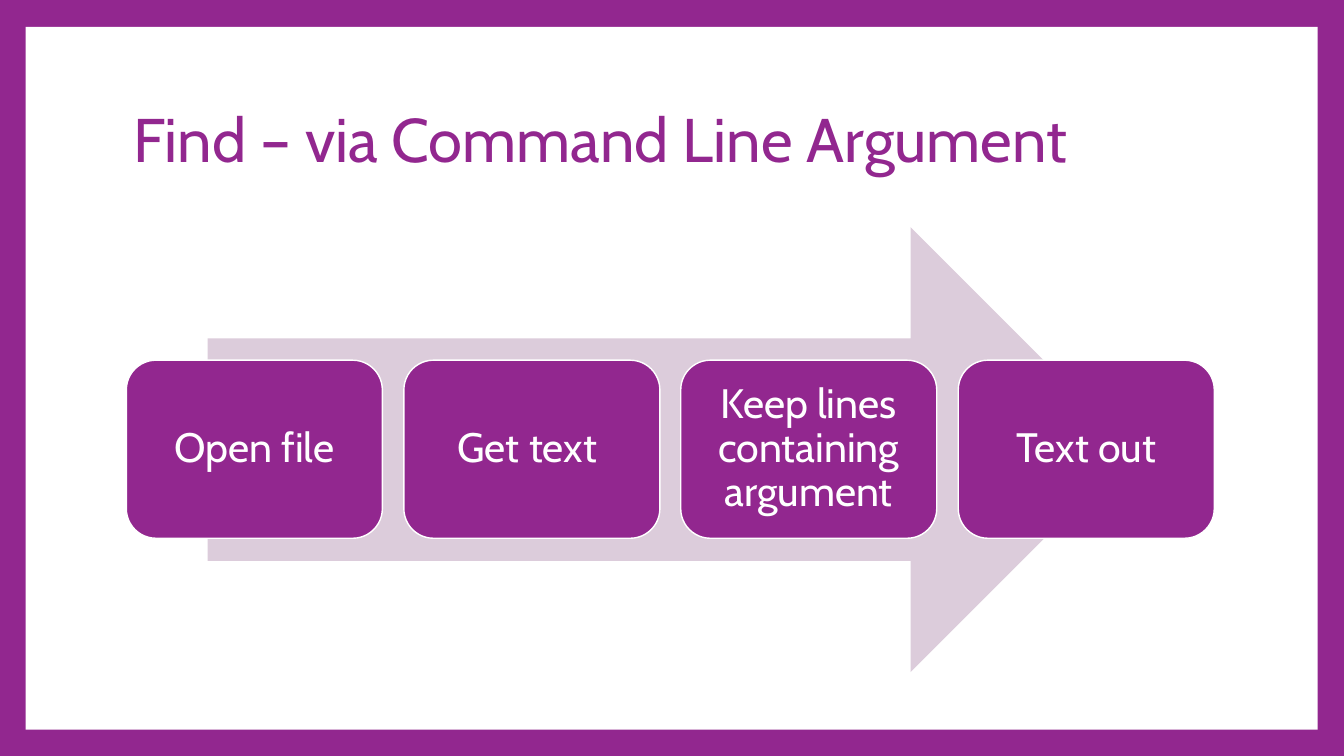
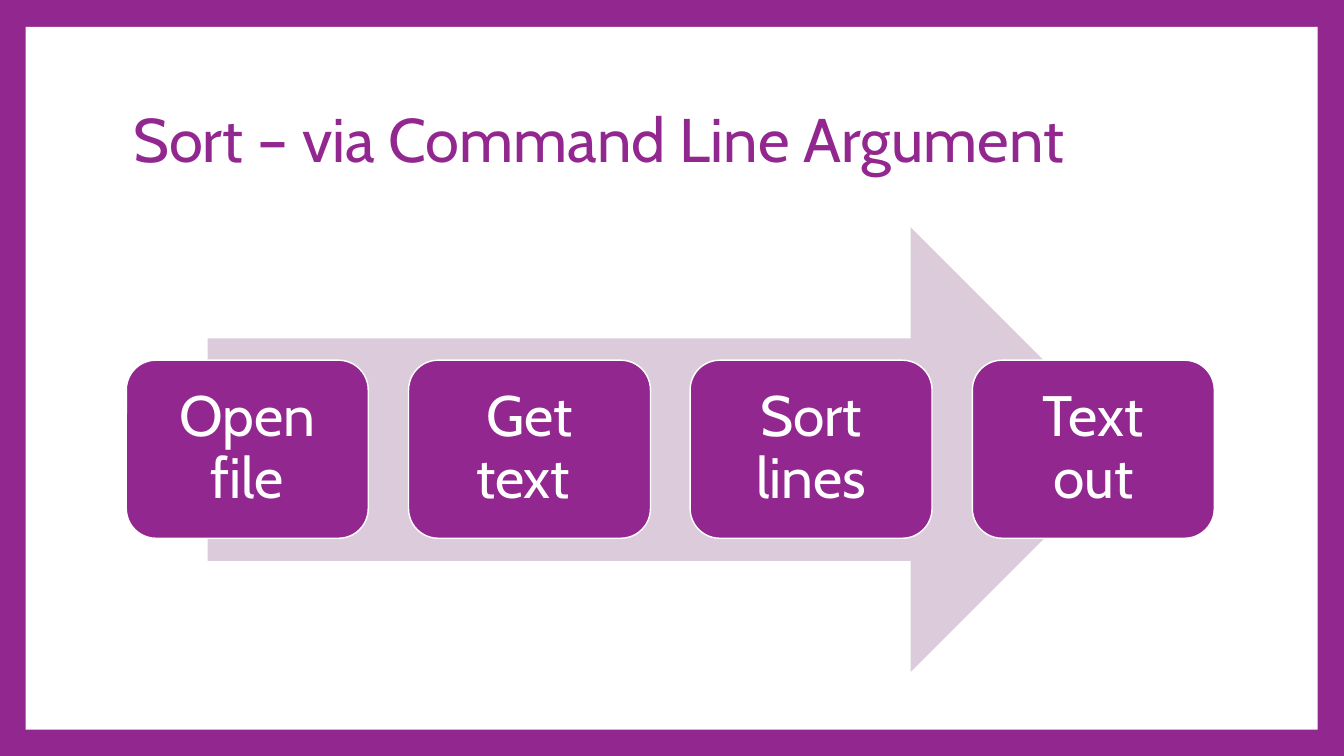
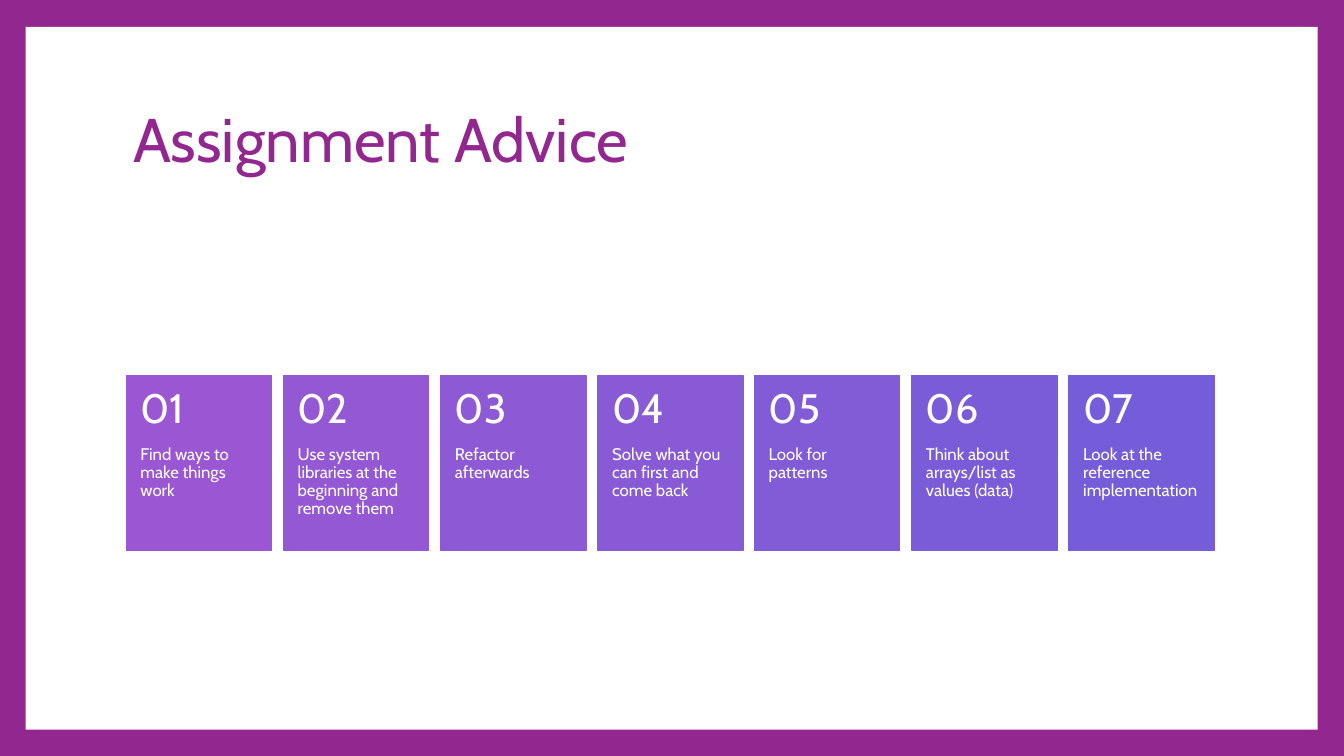
from pptx import Presentation
from pptx.dml.color import RGBColor
from pptx.enum.shapes import MSO_SHAPE as Shape
from pptx.enum.text import MSO_ANCHOR as Anchor, MSO_AUTO_SIZE as AutoSize, PP_ALIGN as Align
from pptx.util import Emu, Pt

PURPLE = RGBColor(0x92, 0x27, 0x8F)
LILAC = RGBColor(0xDC, 0xCC, 0xDB)
WHITE = RGBColor(0xFF, 0xFF, 0xFF)
FIRST_CARD = RGBColor(0x9B, 0x57, 0xD3)
LAST_CARD = RGBColor(0x75, 0x5D, 0xD9)

FONT = "Cabin"
EMU_PER_PX = 9144
SLIDE_SIZE = (2000, 1125)
PANEL_BOX = (38, 40, 1923, 1046)
TITLE_BOX = (188, 100, 1620, 223)
ARROW_BOX = (309, 338, 1377, 662)
CONTENT_LEFT, CONTENT_WIDTH = 188, 1619
STEP_TOP, STEP_HEIGHT = 536, 265
CARD_TOP, CARD_WIDTH, CARD_HEIGHT, NUMBER_HEIGHT = 559, 216, 260, 104

FIND_STEPS = ["Open file", "Get text ", "Keep lines containing argument", "Text out"]
SORT_STEPS = ["Open file", "Get text ", "Sort lines", "Text out"]
ADVICE = [
    "Find ways to make things work",
    "Use system libraries at the beginning and remove them",
    "Refactor afterwards",
    "Solve what you can first and come back",
    "Look for patterns",
    "Think about arrays/list as values (data)",
    "Look at the reference implementation",
]


def px(*lengths):
    """Turn lengths in px into EMU."""
    return [Emu(length * EMU_PER_PX) for length in lengths]


def spread(count, width):
    """Return the left edges of equal boxes that fill the content width."""
    pitch = (CONTENT_WIDTH - width) / (count - 1)
    return [round(CONTENT_LEFT + index * pitch) for index in range(count)]


def blend(start, end, share):
    """Return the colour that lies the given share of the way between two."""
    return RGBColor(*(round(a + (b - a) * share) for a, b in zip(start, end)))


def write_text(shape, text, *, size, color=WHITE, align=Align.LEFT,
               anchor=Anchor.MIDDLE, insets=(10, 5, 10, 5)):
    """Fill a shape with one formatted paragraph."""
    frame = shape.text_frame
    frame.text = text
    frame.word_wrap = True
    frame.auto_size = AutoSize.NONE
    frame.vertical_anchor = anchor
    (frame.margin_left, frame.margin_top,
     frame.margin_right, frame.margin_bottom) = px(*insets)
    paragraph = frame.paragraphs[0]
    paragraph.alignment = align
    paragraph.line_spacing = 0.9
    font = paragraph.runs[0].font
    font.name = FONT
    font.size = Pt(size)
    font.color.rgb = color


def add_box(slide, kind, box, fill, line=None):
    """Add a flat preset shape, outlined if a line colour is given."""
    shape = slide.shapes.add_shape(kind, *px(*box))
    shape.shadow.inherit = False
    shape.fill.solid()
    shape.fill.fore_color.rgb = fill
    if line is None:
        shape.line.fill.background()
    else:
        shape.line.color.rgb = line
        shape.line.width = Pt(1.5)
    return shape


def add_label(slide, box, text, **text_format):
    """Add a text box."""
    write_text(slide.shapes.add_textbox(*px(*box)), text, **text_format)


def add_titled_slide(presentation, title):
    """Add a slide with its title."""
    slide = presentation.slides.add_slide(presentation.slide_layouts[5])
    shape = slide.shapes.title
    shape.left, shape.top, shape.width, shape.height = px(*TITLE_BOX)
    write_text(shape, title, size=66, color=PURPLE)
    return slide


def frame_master(presentation, slide):
    """Give the master a purple border by moving a white panel onto it."""
    master = presentation.slide_master
    master.background.fill.solid()
    master.background.fill.fore_color.rgb = PURPLE
    panel = add_box(slide, Shape.RECTANGLE, PANEL_BOX, WHITE).element
    panel.nvSpPr.cNvPr.set("id", "20")
    master.shapes.element.insert(2, panel)


def add_process(slide, steps, *, width, size, inset):
    """Add a row of step boxes over a wide arrow."""
    add_box(slide, Shape.RIGHT_ARROW, ARROW_BOX, LILAC)
    for left, step in zip(spread(len(steps), width), steps):
        box = (left, STEP_TOP, width, STEP_HEIGHT)
        shape = add_box(slide, Shape.ROUNDED_RECTANGLE, box, PURPLE, WHITE)
        write_text(shape, step, size=size, align=Align.CENTER, insets=[inset] * 4)


def add_cards(slide, tips):
    """Add a row of numbered cards in graded colours."""
    for index, left in enumerate(spread(len(tips), CARD_WIDTH)):
        color = blend(FIRST_CARD, LAST_CARD, index / (len(tips) - 1))
        add_box(slide, Shape.RECTANGLE, (left, CARD_TOP, CARD_WIDTH, CARD_HEIGHT), color, color)
        add_label(slide, (left, CARD_TOP + NUMBER_HEIGHT, CARD_WIDTH, CARD_HEIGHT - NUMBER_HEIGHT),
                  tips[index], size=18, anchor=Anchor.TOP, insets=(21, 0, 21, 36))
        add_label(slide, (left, CARD_TOP, CARD_WIDTH, NUMBER_HEIGHT),
                  f"{index + 1:02}", size=44, insets=(21, 18, 21, 18))


def main():
    """Build the three slides."""
    presentation = Presentation()
    presentation.slide_width, presentation.slide_height = px(*SLIDE_SIZE)

    find_slide = add_titled_slide(presentation, "Find – via Command Line Argument")
    frame_master(presentation, find_slide)
    add_process(find_slide, FIND_STEPS, width=381, size=44, inset=18)

    sort_slide = add_titled_slide(presentation, "Sort – via Command Line Argument")
    add_process(sort_slide, SORT_STEPS, width=360, size=61, inset=25)

    advice_slide = add_titled_slide(presentation, "Assignment Advice")
    add_cards(advice_slide, ADVICE)

    presentation.save("out.pptx")


if __name__ == "__main__":
    main()
